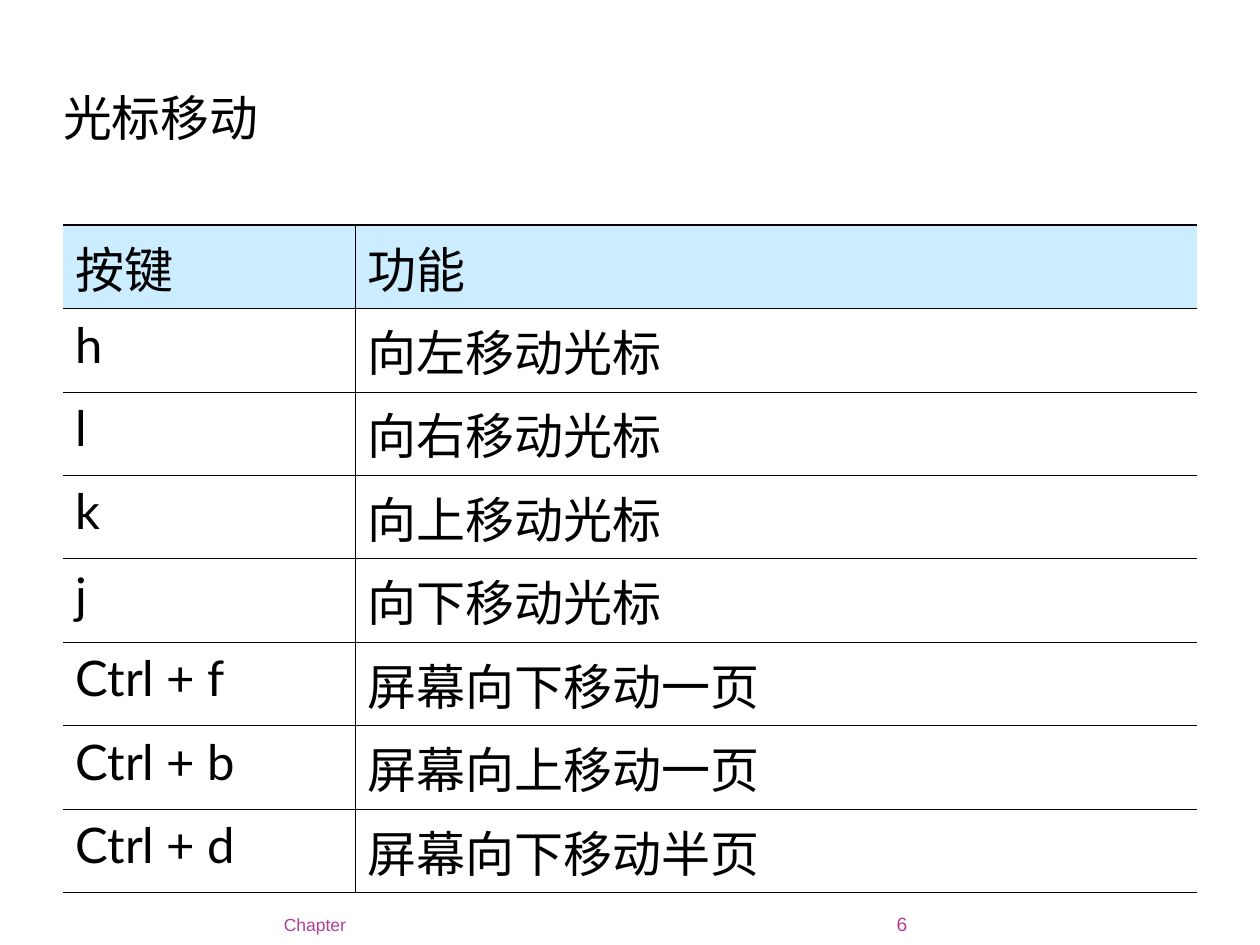
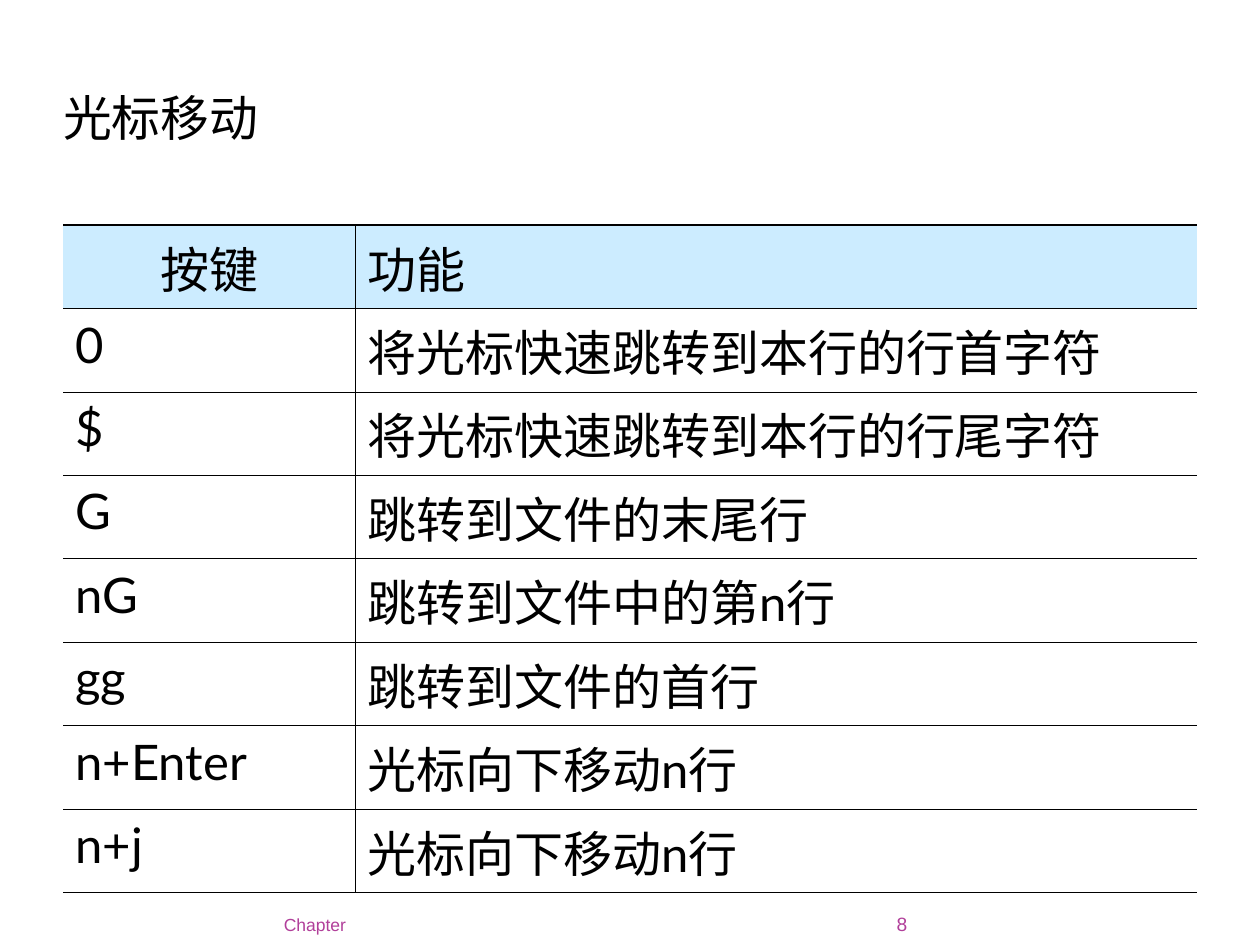
from pptx import Presentation
from pptx.dml.color import RGBColor as RGB
from pptx.enum.lang import MSO_LANGUAGE_ID as Lang
from pptx.enum.text import MSO_ANCHOR as Anchor, PP_ALIGN as Align
from pptx.oxml.ns import qn
from pptx.util import Pt
from lxml.etree import SubElement as Sub

BLACK = RGB(0x00, 0x00, 0x00)
SKY = RGB(0xCC, 0xEC, 0xFF)
PLUM = RGB(0xB1, 0x3F, 0x9A)
BODY, FOOT = "Lato", "Arial"
LEFT, WIDE = 36, 648
COLS = (167, 481)
ROW = 47.7
THIN, THICK = 0.45, 1.08
HEAD = ("按键", "功能")

PAGES = (
    (6, Align.LEFT, (
        ("h", "向左移动光标"),
        ("l", "向右移动光标"),
        ("k", "向上移动光标"),
        ("j", "向下移动光标"),
        ("Ctrl + f", "屏幕向下移动一页"),
        ("Ctrl + b", "屏幕向上移动一页"),
        ("Ctrl + d", "屏幕向下移动半页"),
    )),
    (8, Align.CENTER, (
        ("0", "将光标快速跳转到本行的行首字符"),
        ("$", "将光标快速跳转到本行的行尾字符"),
        ("G", "跳转到文件的末尾行"),
        ("nG", "跳转到文件中的第n行"),
        ("gg", "跳转到文件的首行"),
        ("n+Enter", "光标向下移动n行"),
        ("n+j", "光标向下移动n行"),
    )),
)


def write(frame, text, face, size, color, align=Align.LEFT):
    frame.text = text
    para = frame.paragraphs[0]
    para.alignment = align
    font = para.runs[0].font
    font.name, font.size, font.bold = face, Pt(size), False
    font.color.rgb = color
    font.language_id = Lang.SIMPLIFIED_CHINESE if face == BODY else Lang.ENGLISH_US


def inset(frame, side=0):
    frame.margin_left = frame.margin_right = Pt(side)
    frame.margin_top = frame.margin_bottom = 0
    frame.word_wrap = True


def add_title(slide, text):
    title = slide.shapes.title
    title.left, title.top = Pt(LEFT), Pt(41)
    title.width, title.height = Pt(514), Pt(52)
    frame = title.text_frame
    inset(frame)
    frame.vertical_anchor = Anchor.MIDDLE
    write(frame, text, BODY, 27.9, BLACK)


def add_foot(slide, text, left, width, size, side=0):
    box = slide.shapes.add_textbox(Pt(left), Pt(516.4), Pt(width), Pt(18))
    frame = box.text_frame
    inset(frame, side)
    frame.vertical_anchor = Anchor.BOTTOM
    write(frame, text, FOOT, size, PLUM, Align.RIGHT)


def edge(cell, side, width):
    props = cell._tc.get_or_add_tcPr()
    line = Sub(props, qn(f"a:ln{side}"), w=str(Pt(width)))
    if width:
        fill = Sub(line, qn("a:solidFill"))
        Sub(fill, qn("a:srgbClr"), val=str(BLACK))
    else:
        Sub(line, qn("a:noFill"))


def add_keys(slide, data, align):
    frame = slide.shapes.add_table(len(data), len(COLS), Pt(LEFT), Pt(128.6),
                                   Pt(WIDE), Pt(ROW * len(data)))
    table = frame.table
    table.first_row = table.horz_banding = False
    for col, width in zip(table.columns, COLS):
        col.width = Pt(width)
    for row in table.rows:
        row.height = Pt(ROW)
    last = len(data) - 1
    for r, texts in enumerate(data):
        for c, text in enumerate(texts):
            cell = table.cell(r, c)
            edge(cell, "L", THIN if c else 0)
            edge(cell, "R", 0 if c else THIN)
            edge(cell, "T", THIN if r else THICK)
            edge(cell, "B", THICK if r == last else THIN)
            if r:
                cell.fill.background()
            else:
                cell.fill.solid()
                cell.fill.fore_color.rgb = SKY
            place = align if r == c == 0 else Align.LEFT
            write(cell.text_frame, text, BODY, 28, BLACK, place)


def main():
    deck = Presentation()
    deck.slide_width, deck.slide_height = Pt(720), Pt(540)
    for page, align, keys in PAGES:
        slide = deck.slides.add_slide(deck.slide_layouts[5])
        add_title(slide, "光标移动")
        add_foot(slide, "Chapter", LEFT, 168.7, 10, 7.2)
        add_foot(slide, str(page), 472.5, 46, 11)
        add_keys(slide, (HEAD,) + keys, align)
    deck.save("out.pptx")


if __name__ == "__main__":
    main()
